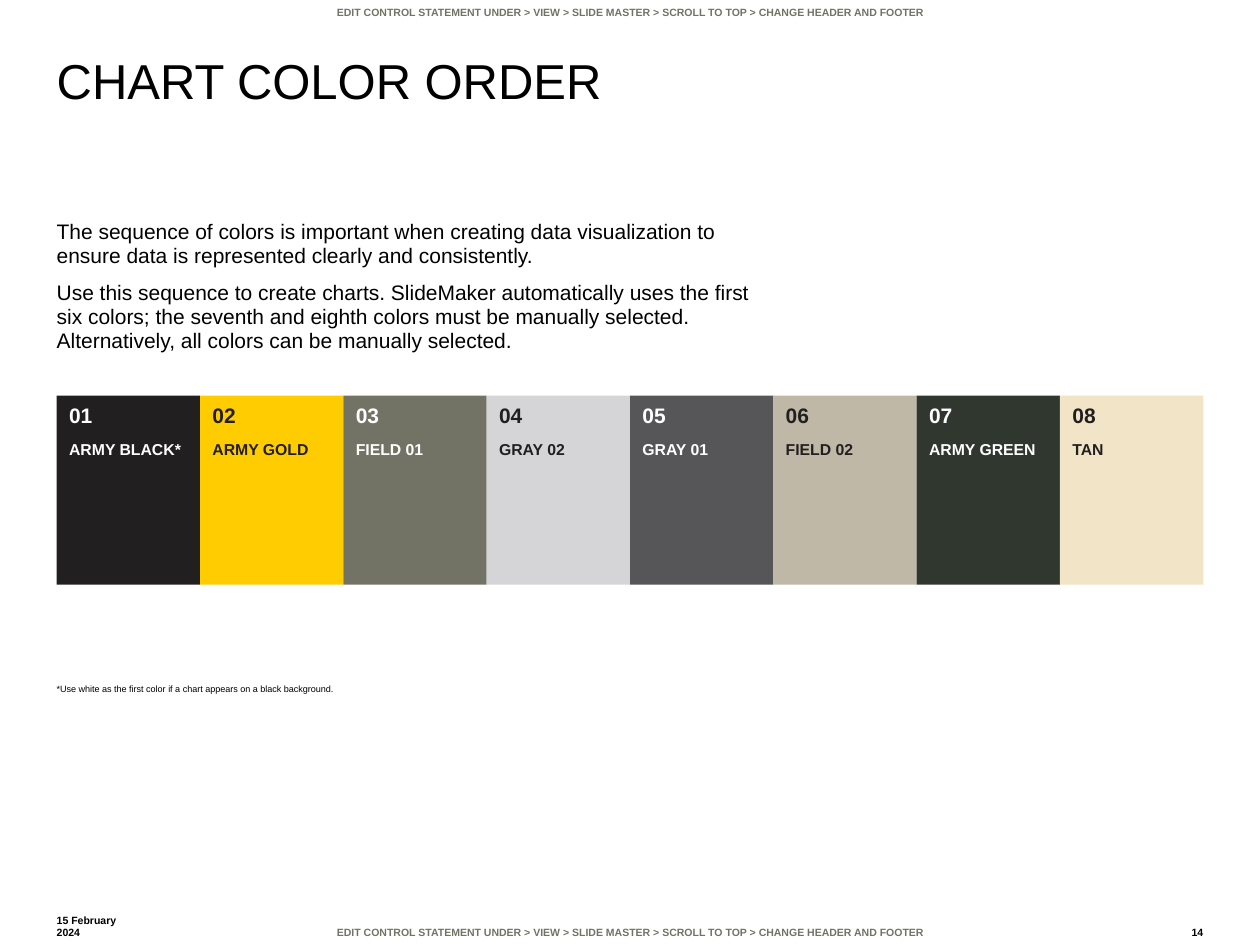
from pptx import Presentation
from pptx.dml.color import RGBColor
from pptx.enum.shapes import MSO_SHAPE
from pptx.enum.text import MSO_ANCHOR, MSO_AUTO_SIZE, PP_ALIGN
from pptx.util import Inches, Pt

FONT = "Arial"
BLACK, WHITE, INK, GREY = "000000", "FFFFFF", "221F20", "727365"
MARGIN = 0.45
SWATCH_TOP, SWATCH_HEIGHT = 3.14, 1.5

CONTROL = ("EDIT CONTROL STATEMENT UNDER > VIEW > SLIDE MASTER > "
           "SCROLL TO TOP > CHANGE HEADER AND FOOTER")
BODY = [
    "The sequence of colors is important when creating data visualization to "
    "ensure data is represented clearly and consistently.",
    "Use this sequence to create charts. SlideMaker automatically uses the first "
    "six colors; the seventh and eighth colors must be manually selected. "
    "Alternatively, all colors can be manually selected.",
]
# name, fill, text colour
SWATCHES = [
    ("ARMY BLACK*", INK, WHITE),
    ("ARMY GOLD", "FFCC01", INK),
    ("FIELD 01", GREY, WHITE),
    ("GRAY 02", "D5D5D7", INK),
    ("GRAY 01", "565557", WHITE),
    ("FIELD 02", "BFB8A6", INK),
    ("ARMY GREEN", "2F372F", WHITE),
    ("TAN", "F1E4C7", INK),
]


def rgb(value):
    return RGBColor.from_string(value)


def set_frame(tf, inset_x=0, inset_y=0, anchor=MSO_ANCHOR.TOP):
    tf.word_wrap = True
    tf.auto_size = MSO_AUTO_SIZE.NONE
    tf.vertical_anchor = anchor
    tf.margin_left = tf.margin_right = Inches(inset_x)
    tf.margin_top = tf.margin_bottom = Inches(inset_y)


def format_paragraph(p, size, color, bold=False, align=PP_ALIGN.LEFT,
                     line=1.0, before=0):
    p.alignment = align
    p.line_spacing = line
    p.space_before = Pt(before)
    for r in p.runs:
        r.font.name = FONT
        r.font.size = Pt(size)
        r.font.bold = bold
        r.font.color.rgb = rgb(color)


def add_title(s, text):
    sp = s.shapes.title
    sp.left, sp.top = Inches(MARGIN), Inches(0.45)
    sp.width, sp.height = Inches(6.75), Inches(1)
    tf = sp.text_frame
    tf.text = text
    set_frame(tf)
    format_paragraph(tf.paragraphs[0], 28, BLACK, line=0.9)


def add_text(s, box, lines, size, color=BLACK, inset_y=0,
             anchor=MSO_ANCHOR.TOP, **style):
    tf = s.shapes.add_textbox(*map(Inches, box)).text_frame
    set_frame(tf, 0, inset_y, anchor)
    tf.text = "\n".join(lines)
    for p in tf.paragraphs:
        format_paragraph(p, size, color, **style)


def add_swatch(group, number, left, width, name, fill, color):
    sp = group.shapes.add_shape(MSO_SHAPE.RECTANGLE, Inches(left), Inches(SWATCH_TOP),
                                Inches(width), Inches(SWATCH_HEIGHT))
    sp.shadow.inherit = False
    sp.fill.solid()
    sp.fill.fore_color.rgb = rgb(fill)
    sp.line.fill.background()
    tf = sp.text_frame
    set_frame(tf, 0.1, 0.07)
    tf.text = f"{number:02d}\n{name}"
    for p, size in zip(tf.paragraphs, (12, 9)):
        format_paragraph(p, size, color, bold=True, line=0.95, before=7.5)


def main():
    prs = Presentation()
    prs.slide_width, prs.slide_height = Inches(10), Inches(7.5)
    s = prs.slides.add_slide(prs.slide_layouts[5])

    # Control statements at the bottom and top edges
    for top, anchor in ((7.3, MSO_ANCHOR.BOTTOM), (0, MSO_ANCHOR.TOP)):
        add_text(s, (1.14, top, 7.72, 0.2), [CONTROL], 6, GREY, 0.05, anchor,
                 bold=True, align=PP_ALIGN.CENTER)

    # Title and explanation
    add_title(s, "CHART COLOR ORDER")
    add_text(s, (MARGIN, 1.75, 5.57, 3.75), BODY, 12, line=0.95, before=7.5)

    # Colour swatches, side by side between the margins
    group = s.shapes.add_group_shape()
    width = (10 - 2 * MARGIN) / len(SWATCHES)
    for i, swatch in enumerate(SWATCHES):
        add_swatch(group, i + 1, MARGIN + i * width, width, *swatch)

    # Footnote
    add_text(s, (MARGIN, 5.28, 5.57, 0.23),
             ["*Use white as the first color if a chart appears on a black background."],
             5.2, anchor=MSO_ANCHOR.BOTTOM)

    # Date and page number
    add_text(s, (MARGIN, 7.25, 0.68, 0.25), ["15 February 2024"], 6,
             inset_y=0.05, anchor=MSO_ANCHOR.BOTTOM, bold=True)
    add_text(s, (9.22, 7.25, 0.33, 0.25), ["14"], 6,
             inset_y=0.05, anchor=MSO_ANCHOR.BOTTOM, bold=True, align=PP_ALIGN.RIGHT)

    prs.save("out.pptx")


if __name__ == "__main__":
    main()
